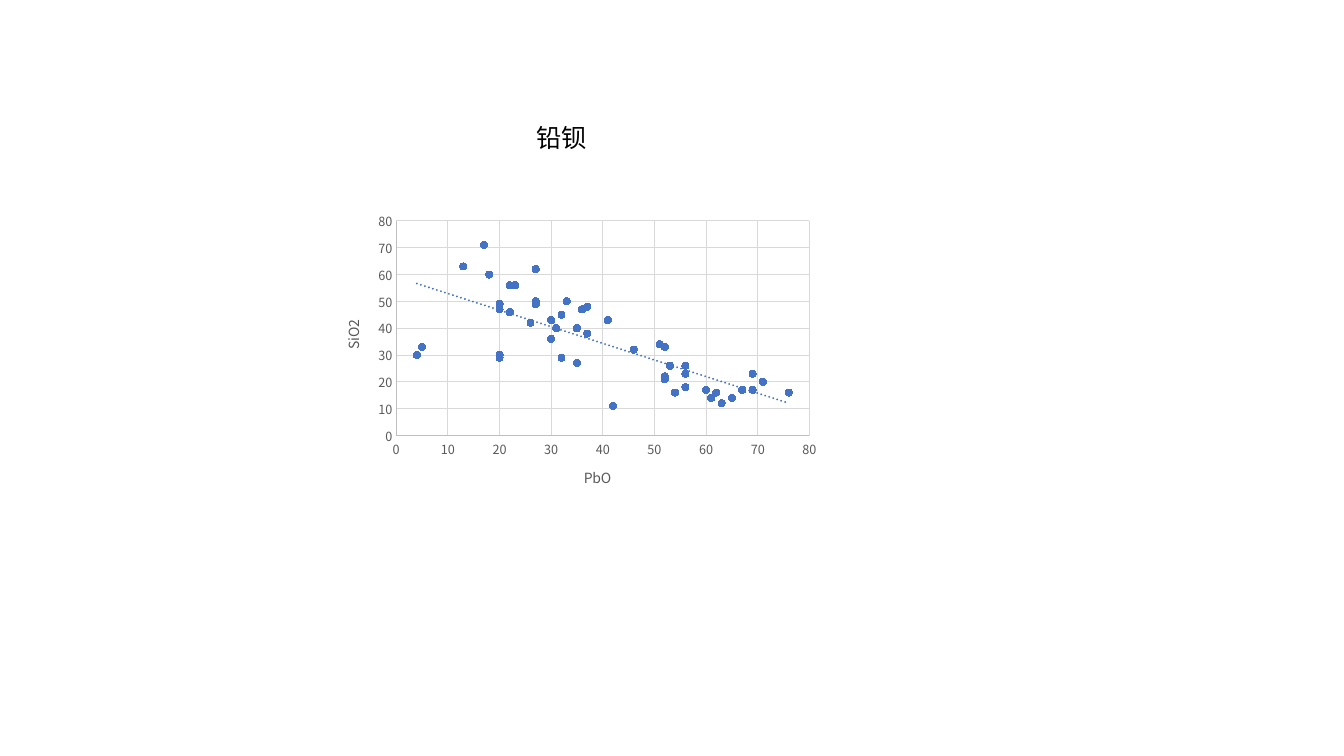
"""Build a slide with a scatter chart of SiO2 against PbO and its trend line."""
from lxml.etree import SubElement
from pptx import Presentation
from pptx.chart.data import XyChartData
from pptx.dml.color import RGBColor
from pptx.enum.chart import XL_CHART_TYPE as Kind, XL_MARKER_STYLE as Mark, XL_TICK_MARK as Tick
from pptx.enum.text import MSO_AUTO_SIZE as Fit
from pptx.oxml import parse_xml
from pptx.oxml.ns import nsdecls, qn
from pptx.util import Pt

TITLE = "铅钡"
AXES = ("PbO", "SiO2")
POINTS = [
    (36, 47), (20, 29), (5, 33), (35, 27), (30, 43), (42, 11), (56, 18),
    (32, 29), (52, 33), (20, 30), (4, 30), (69, 17), (63, 12), (35, 40),
    (37, 38), (67, 17), (71, 20), (76, 16), (37, 48), (69, 23), (41, 43),
    (60, 17), (33, 50), (27, 62), (17, 71), (20, 47), (52, 22), (52, 21),
    (13, 63), (22, 46), (61, 14), (62, 16), (56, 26), (53, 26), (54, 16),
    (30, 36), (56, 23), (20, 49), (46, 32), (26, 42), (23, 56), (27, 50),
    (65, 14), (22, 56), (18, 60), (51, 34), (32, 45), (27, 49), (31, 40),
]
PLOT = {"x": 0.15, "y": 0.05, "w": 0.82, "h": 0.71}
FACE = "Noto Sans CJK SC"
BLACK = RGBColor(0, 0, 0)
GREY = RGBColor(0x59, 0x59, 0x59)
RULE = RGBColor(0xBF, 0xBF, 0xBF)
GRID = RGBColor(0xD9, 0xD9, 0xD9)
BLUE = RGBColor(0x44, 0x72, 0xC4)


def style(font, size, color):
    font.name, font.size, font.bold = FACE, Pt(size), False
    font.color.rgb = color


def stroke(line, color):
    line.color.rgb, line.width = color, Pt(0.75)


def set_axis(axis, name):
    axis.minimum_scale, axis.maximum_scale, axis.major_unit = 0, 80, 10
    axis.major_tick_mark = axis.minor_tick_mark = Tick.NONE
    axis.has_major_gridlines = True
    stroke(axis.major_gridlines.format.line, GRID)
    stroke(axis.format.line, RULE)
    style(axis.tick_labels.font, 9, GREY)
    label = axis.axis_title.text_frame
    label.text = name
    style(label.paragraphs[0].runs[0].font, 10, GREY)


def add_trend(series):
    trend = parse_xml(
        f'<c:trendline {nsdecls("c", "a")}><c:spPr><a:ln w="{Pt(1.5)}" cap="rnd">'
        f'<a:solidFill><a:srgbClr val="{BLUE}"/></a:solidFill><a:prstDash val="sysDot"/>'
        '</a:ln></c:spPr><c:trendlineType val="linear"/><c:dispRSqr val="0"/>'
        '<c:dispEq val="0"/></c:trendline>')
    series._element.find(qn("c:xVal")).addprevious(trend)


def set_plot(chart):
    area = chart._chartSpace.chart.plotArea
    for old in area.findall(qn("c:layout")):
        area.remove(old)
    parts = [("layoutTarget", "inner"), ("xMode", "edge"), ("yMode", "edge"), *PLOT.items()]
    body = "".join(f'<c:{tag} val="{val}"/>' for tag, val in parts)
    area.insert(0, parse_xml(
        f'<c:layout {nsdecls("c")}><c:manualLayout>{body}</c:manualLayout></c:layout>'))


def add_chart(slide):
    data = XyChartData()
    group = data.add_series("Series 1")
    for x, y in POINTS:
        group.add_data_point(x, y)
    chart = slide.shapes.add_chart(
        Kind.XY_SCATTER, Pt(229), Pt(147), Pt(360), Pt(216), data).chart
    chart.has_title = chart.has_legend = False
    style(chart.font, 10, BLACK)
    plot = chart.plots[0]
    plot.vary_by_categories = False
    series = plot.series[0]
    series.format.line.fill.background()
    mark = series.marker
    mark.style, mark.size = Mark.CIRCLE, 5
    mark.format.fill.solid()
    mark.format.fill.fore_color.rgb = BLUE
    stroke(mark.format.line, BLUE)
    add_trend(series)
    for axis, name in zip((chart.category_axis, chart.value_axis), AXES):
        set_axis(axis, name)
    set_plot(chart)


def add_title(slide):
    frame = slide.shapes.add_textbox(Pt(376), Pt(84), Pt(263.5), Pt(29)).text_frame
    frame.word_wrap, frame.auto_size = True, Fit.SHAPE_TO_FIT_TEXT
    run = frame.paragraphs[0].add_run()
    run.text = TITLE
    style(run.font, 18, BLACK)
    SubElement(run.font._element, qn("a:ea"), typeface=FACE)


def main():
    deck = Presentation()
    deck.slide_width, deck.slide_height = Pt(960), Pt(540)
    slide = deck.slides.add_slide(deck.slide_layouts[6])
    add_chart(slide)
    add_title(slide)
    deck.save("out.pptx")


if __name__ == "__main__":
    main()
